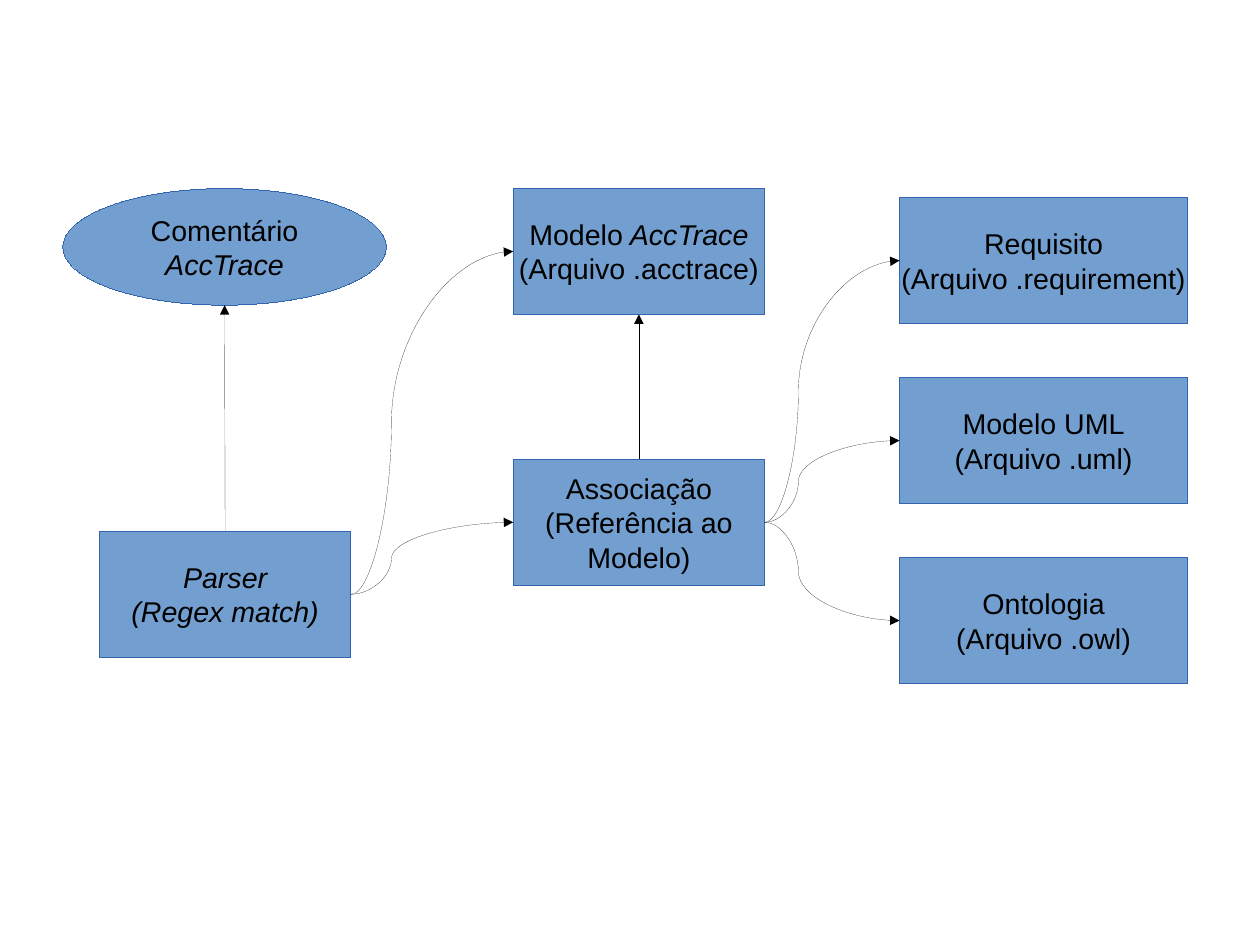
from lxml import etree
from pptx import Presentation
from pptx.dml.color import RGBColor
from pptx.enum.shapes import MSO_CONNECTOR, MSO_SHAPE
from pptx.enum.text import MSO_ANCHOR, PP_ALIGN
from pptx.oxml.ns import qn
from pptx.util import Inches, Pt

COLORS = {"fill": "729FCF", "outline": "3465AF", "ink": "000000"}
RECTANGLE, OVAL = MSO_SHAPE.RECTANGLE, MSO_SHAPE.OVAL
STRAIGHT, CURVE = MSO_CONNECTOR.STRAIGHT, MSO_CONNECTOR.CURVE
MIDDLE, CENTER = MSO_ANCHOR.MIDDLE, PP_ALIGN.CENTER
TOP, LEFT, BOTTOM, RIGHT = range(4)
BEND = 25000
BOX_HEIGHT = 1.1
HAIRLINE = Pt(0.01)
CM_PER_INCH = 2.54


def color(name):
    """Return a palette colour."""
    return RGBColor.from_string(COLORS[name])


def add_node(slide, box, lines, kind=RECTANGLE):
    """Draw a node in its box; each line is a list of (text, italic) runs."""
    shape = slide.shapes.add_shape(kind, *(Inches(value) for value in box))
    shape.shadow.inherit = False
    shape.fill.solid()
    shape.fill.fore_color.rgb = color("fill")
    shape.line.color.rgb = color("outline")
    shape.line.width = HAIRLINE
    frame = shape.text_frame
    frame.word_wrap = False
    frame.vertical_anchor = MIDDLE
    for index, runs in enumerate(lines):
        paragraph = frame.add_paragraph() if index else frame.paragraphs[0]
        paragraph.alignment = CENTER
        paragraph.font.name = "Arial"
        paragraph.font.size = Pt(18)
        paragraph.font.color.rgb = color("ink")
        for text, italic in runs:
            run = paragraph.add_run()
            run.text = text
            run.font.italic = italic
    return shape


def site_point(shape, site):
    """Return the middle of one side of a shape."""
    center_x = shape.left + shape.width // 2
    center_y = shape.top + shape.height // 2
    return {
        TOP: (center_x, shape.top),
        LEFT: (shape.left, center_y),
        BOTTOM: (center_x, shape.top + shape.height),
        RIGHT: (shape.left + shape.width, center_y),
    }[site]


def add_arrow(slide, kind, source, source_site, target, target_site):
    """Draw a thin arrow between the sides of two nodes."""
    connector = slide.shapes.add_connector(
        kind, *site_point(source, source_site), *site_point(target, target_site))
    connector.begin_connect(source, source_site)
    if target.auto_shape_type != OVAL:
        connector.end_connect(target, target_site)
    connector.line.color.rgb = color("ink")
    connector.line.width = HAIRLINE
    properties = connector._element.spPr
    etree.SubElement(properties.find(qn("a:ln")), qn("a:tailEnd"), type="triangle")
    etree.SubElement(properties, qn("a:effectLst"))
    if kind == CURVE:
        adjustments = properties.find(qn("a:prstGeom")).find(qn("a:avLst"))
        etree.SubElement(adjustments, qn("a:gd"), name="adj1", fmla=f"val {BEND}")


def add_parser_column(slide, left, top):
    """Draw the comment and its parser; return the parser."""
    comment = add_node(slide, (left, top, 2.83, 1.02),
                       [[("Comentário", False)], [("AccTrace", True)]], OVAL)
    parser = add_node(slide, (left + 0.32, top + 3, 2.2, BOX_HEIGHT),
                      [[("Parser", True)], [("(Regex match)", True)]])
    add_arrow(slide, STRAIGHT, parser, TOP, comment, BOTTOM)
    return parser


def add_model_column(slide, left, top):
    """Draw the trace model and its association; return both."""
    model = add_node(slide, (left, top, 2.2, BOX_HEIGHT),
                     [[("Modelo", False), (" AccTrace", True)],
                      [("(Arquivo .acctrace)", False)]])
    association = add_node(slide, (left, top + 2.37, 2.2, BOX_HEIGHT),
                           [[("Associação", False)], [("(Referência ao", False)],
                            [("Modelo)", False)]])
    add_arrow(slide, STRAIGHT, association, TOP, model, BOTTOM)
    return model, association


def add_artifact_column(slide, left, top):
    """Draw the evenly spaced artifacts; return them."""
    pitch = 4 / CM_PER_INCH
    artifacts = [("Requisito", "requirement"), ("Modelo UML", "uml"),
                 ("Ontologia", "owl")]
    return [add_node(slide, (left, top + pitch * row, 2.52, BOX_HEIGHT),
                     [[(name, False)], [(f"(Arquivo .{extension})", False)]])
            for row, (name, extension) in enumerate(artifacts)]


def main():
    """Build the traceability diagram."""
    presentation = Presentation()
    presentation.slide_width = Inches(28 / CM_PER_INCH)
    presentation.slide_height = Inches(21 / CM_PER_INCH)
    slide = presentation.slides.add_slide(presentation.slide_layouts[6])
    parser = add_parser_column(slide, 0.55, 1.65)
    model, association = add_model_column(slide, 4.49, 1.65)
    artifacts = add_artifact_column(slide, 7.87, 1.73)
    for source, targets in ((parser, (model, association)), (association, artifacts)):
        for target in targets:
            add_arrow(slide, CURVE, source, RIGHT, target, LEFT)
    presentation.save("out.pptx")


if __name__ == "__main__":
    main()
